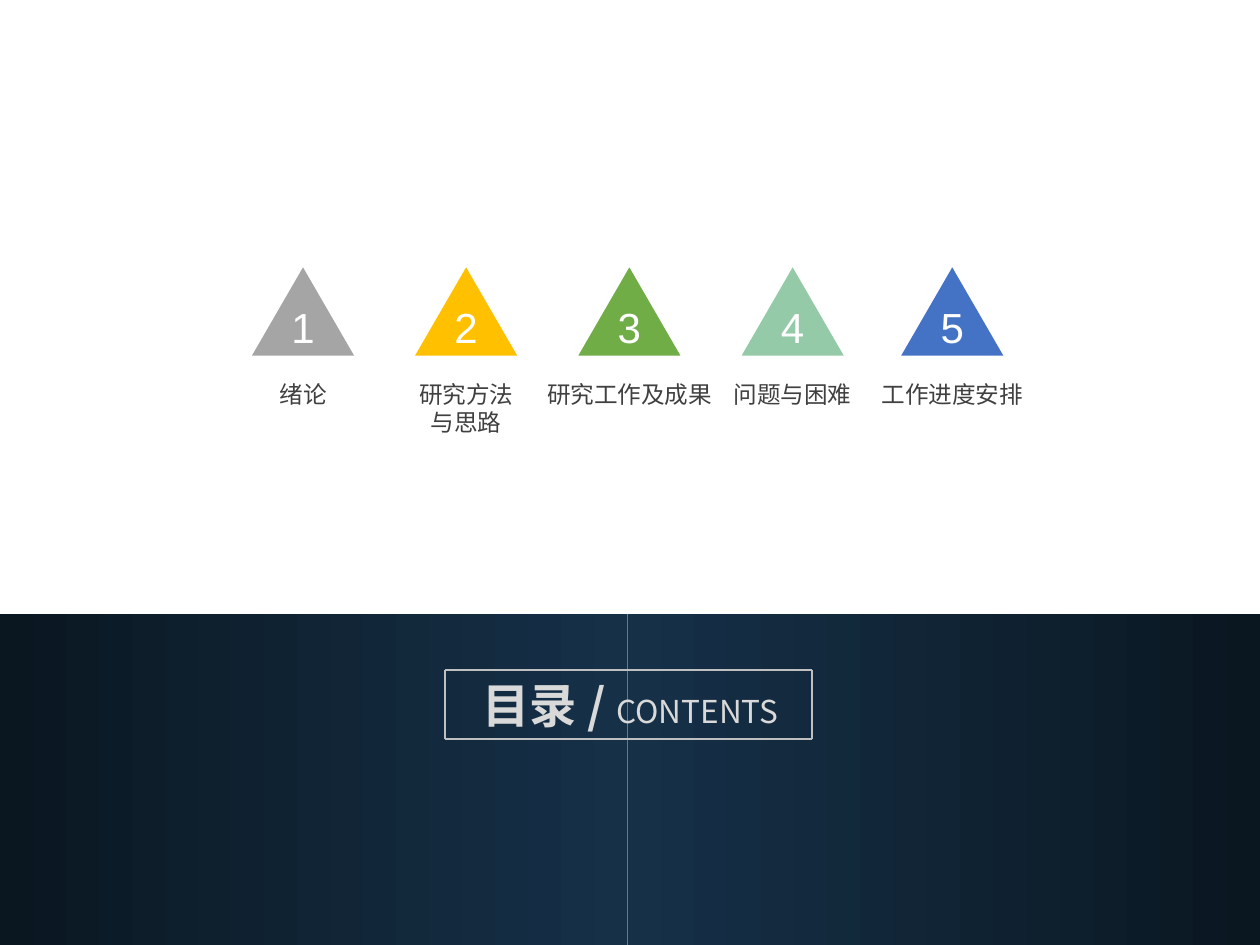
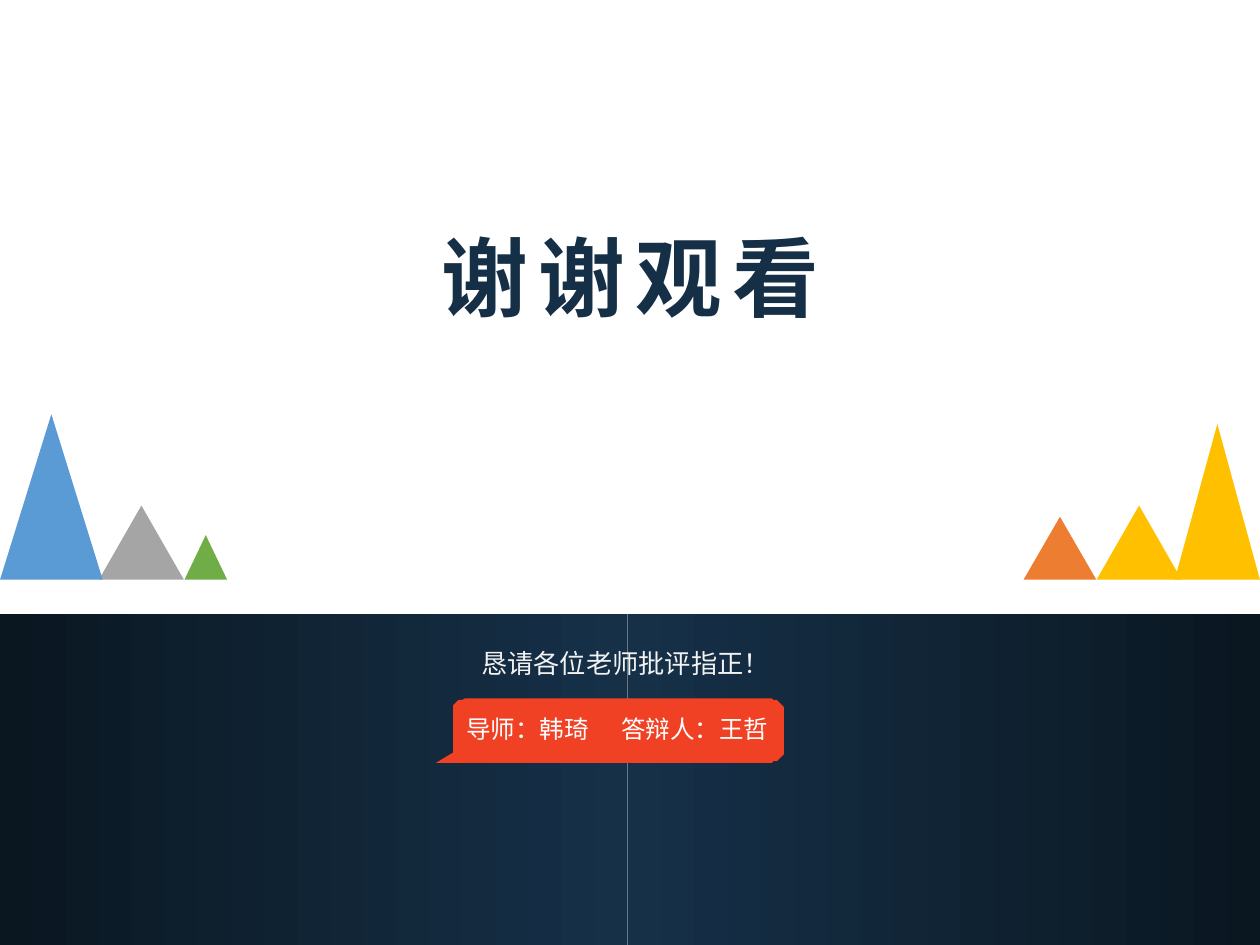
from itertools import pairwise
from math import cos, radians, sin

from lxml.etree import SubElement
from pptx import Presentation
from pptx.dml.color import RGBColor
from pptx.enum.shapes import MSO_CONNECTOR as Link, MSO_SHAPE as Preset
from pptx.enum.text import MSO_AUTO_SIZE as Fit, PP_ALIGN as Align
from pptx.oxml.ns import qn
from pptx.util import Pt

COLORS = {
    "band_center": "163048", "band_edge": "0A1721", "title": "152F47",
    "label": "404040", "heading": "D9D9D9", "frame": "BFBFBF",
    "soft_white": "F2F2F2", "white": "FFFFFF", "callout": "F14124",
    "gray": "A5A5A5", "gold": "FFC000", "green": "70AD47", "mint": "94CAA8",
    "blue": "4472C4", "sky": "5B9BD5", "orange": "ED7D31",
}
CJK, LATIN = "Noto Sans CJK SC", "Arial"
WIDTH, HEIGHT = 720, 540
BAND_TOP, BAND_SPLIT = 351, 358.5
INSETS = (7.2, 3.6, 7.2, 3.6)
TIGHT_INSETS = (5, 2.9, 5, 2.9)


def rgb(name):
    return RGBColor.from_string(COLORS[name])


def points(box):
    return [Pt(length) for length in box]


def paint(shape, color):
    shape.shadow.inherit = False
    shape.line.fill.background()
    shape.fill.solid()
    shape.fill.fore_color.rgb = rgb(color)


def add_run(paragraph, words, size, color, font=CJK, bold=False, spacing=0):
    run = paragraph.add_run()
    run.text = words
    run.font.size, run.font.bold, run.font.name = Pt(size), bold, font
    run.font.color.rgb = rgb(color)
    properties = run.font._element
    SubElement(properties, qn("a:ea")).set("typeface", font)
    if spacing:
        properties.set("spc", str(spacing * 100))


def add_text(shapes, box, insets=INSETS, wrap=True):
    frame = shapes.add_textbox(*points(box)).text_frame
    frame.word_wrap, frame.auto_size = wrap, Fit.SHAPE_TO_FIT_TEXT
    (frame.margin_left, frame.margin_top,
     frame.margin_right, frame.margin_bottom) = points(insets)
    return frame


def add_centered_lines(shapes, box, lines, insets=INSETS, wrap=True, **style):
    frame = add_text(shapes, box, insets, wrap)
    for index, line in enumerate(lines):
        paragraph = frame.add_paragraph() if index else frame.paragraphs[0]
        paragraph.alignment = Align.CENTER
        add_run(paragraph, line, **style)


def add_triangle(shapes, box, color):
    paint(shapes.add_shape(Preset.ISOSCELES_TRIANGLE, *points(box)), color)


def add_band(slide):
    halves = [(0, BAND_SPLIT, 180), (BAND_SPLIT, WIDTH - BAND_SPLIT, 0)]
    for left, width, turn in halves:
        half = slide.shapes.add_shape(
            Preset.RECTANGLE, *points((left, BAND_TOP, width, HEIGHT - BAND_TOP)))
        paint(half, "band_center")
        half.rotation = turn
        half.fill.gradient()
        half.fill.gradient_angle = 0
        for stop, color in zip(half.fill.gradient_stops, ("band_center", "band_edge")):
            stop.color.rgb = rgb(color)


def add_chapter(slide, number, box, color, lines):
    left, top, width, height = box
    center = left + width / 2
    label_width = 13.5 * max(map(len, lines)) + 14.4
    label_box = (center - label_width / 2, top + 60.5, label_width, 3.5 + 20 * len(lines))
    add_centered_lines(slide.shapes, label_box, lines, wrap=False, size=13.5, color="label")
    marker = slide.shapes.add_group_shape().shapes
    add_triangle(marker, box, color)
    add_centered_lines(marker, (center - 14, top + 15.8, 28, 36), [str(number)],
                       wrap=False, size=24, color="white", font=LATIN)


def add_framed_heading(slide, box):
    left, top, width, height = box
    heading = add_text(slide.shapes, (left + 7.9, top, width - 13.7, height)).paragraphs[0]
    heading.alignment = Align.CENTER
    add_run(heading, "目录 / ", 27, "heading", bold=True)
    add_run(heading, "CONTENTS", 18, "heading")
    right, bottom = left + width, top + height
    corners = [(left, top), (right, top), (right, bottom), (left, bottom), (left, top)]
    for start, end in pairwise(corners):
        edge = slide.shapes.add_connector(Link.STRAIGHT, *points(start + end))
        edge.line.color.rgb, edge.line.width = rgb("frame"), Pt(1)
        SubElement(edge._element.spPr, qn("a:effectLst"))


def add_mountains(slide, baseline):
    mountains = [
        (56.5, 48.6, 42.4, "gray"), (584.9, 41.6, 36, "orange"),
        (0, 58.7, 94.6, "sky"), (105.4, 24.4, 25.5, "green"),
        (626.6, 48.6, 42.4, "gold"), (671.3, 48.7, 89, "gold"),
    ]
    for left, width, height, color in mountains:
        add_triangle(slide.shapes, (left, baseline - height, width, height), color)


def add_callout(slide, box):
    left, top, width, height = box
    right, bottom = left + width, top + height
    radius_x, radius_y = 10.8, 6.2

    def corner(center_x, center_y, first_angle):
        return [(center_x + radius_x * cos(radians(angle)),
                 center_y + radius_y * sin(radians(angle)))
                for angle in range(first_angle, first_angle + 91, 10)]

    outline = (
        corner(left + radius_x, top + radius_y, 180)
        + corner(right - radius_x, top + radius_y, 270)
        + corner(right - radius_x, bottom - radius_y, 0)
        + [(left + radius_x, bottom), (left + 9.4, bottom - 0.5),
           (left - 9.4, bottom - 0.5), (left, bottom - 5.8)]
    )
    builder = slide.shapes.build_freeform(*outline[0], scale=Pt(1))
    builder.add_line_segments(outline[1:], close=True)
    paint(builder.convert_to_shape(), "callout")

    names = add_text(slide.shapes, (left - 12.2, top + 5.8, 214.6, 24.5),
                     (20, 3.6, 7.2, 3.6)).paragraphs[0]
    tabs = SubElement(names._p.get_or_add_pPr(), qn("a:tabLst"))
    tab = SubElement(tabs, qn("a:tab"))
    tab.set("pos", str(Pt(88.5)))
    tab.set("algn", "l")
    add_run(names, "导师：韩琦\t答辩人：王哲", 14, "white")


def build_contents(slide):
    add_band(slide)
    chapters = [
        (144, "gray", ["绪论"]), (237.2, "gold", ["研究方法", "与思路"]),
        (330.5, "green", ["研究工作及成果"]), (423.8, "mint", ["问题与困难"]),
        (515, "blue", ["工作进度安排"]),
    ]
    for number, (left, color, lines) in enumerate(chapters, 1):
        add_chapter(slide, number, (left, 152.8, 58.3, 50.4), color, lines)
    add_framed_heading(slide, (254.2, 382.8, 209.8, 39.6))


def build_closing(slide):
    add_band(slide)
    add_centered_lines(slide.shapes, (229, 125.3, 262.8, 65.5), ["谢谢观看"], TIGHT_INSETS,
                       size=49.5, color="title", bold=True, spacing=6)
    request = add_text(slide.shapes, (270, 357.8, 180, 32.4), TIGHT_INSETS).paragraphs[0]
    request.line_spacing = 1.5
    add_run(request, "恳请各位老师批评指正！", 15, "soft_white")
    add_mountains(slide, 331.3)
    add_callout(slide, (258.6, 398.8, 189.2, 37.4))


def main():
    deck = Presentation()
    deck.slide_width, deck.slide_height = Pt(WIDTH), Pt(HEIGHT)
    for build in (build_contents, build_closing):
        build(deck.slides.add_slide(deck.slide_layouts[6]))
    deck.save("out.pptx")


if __name__ == "__main__":
    main()
